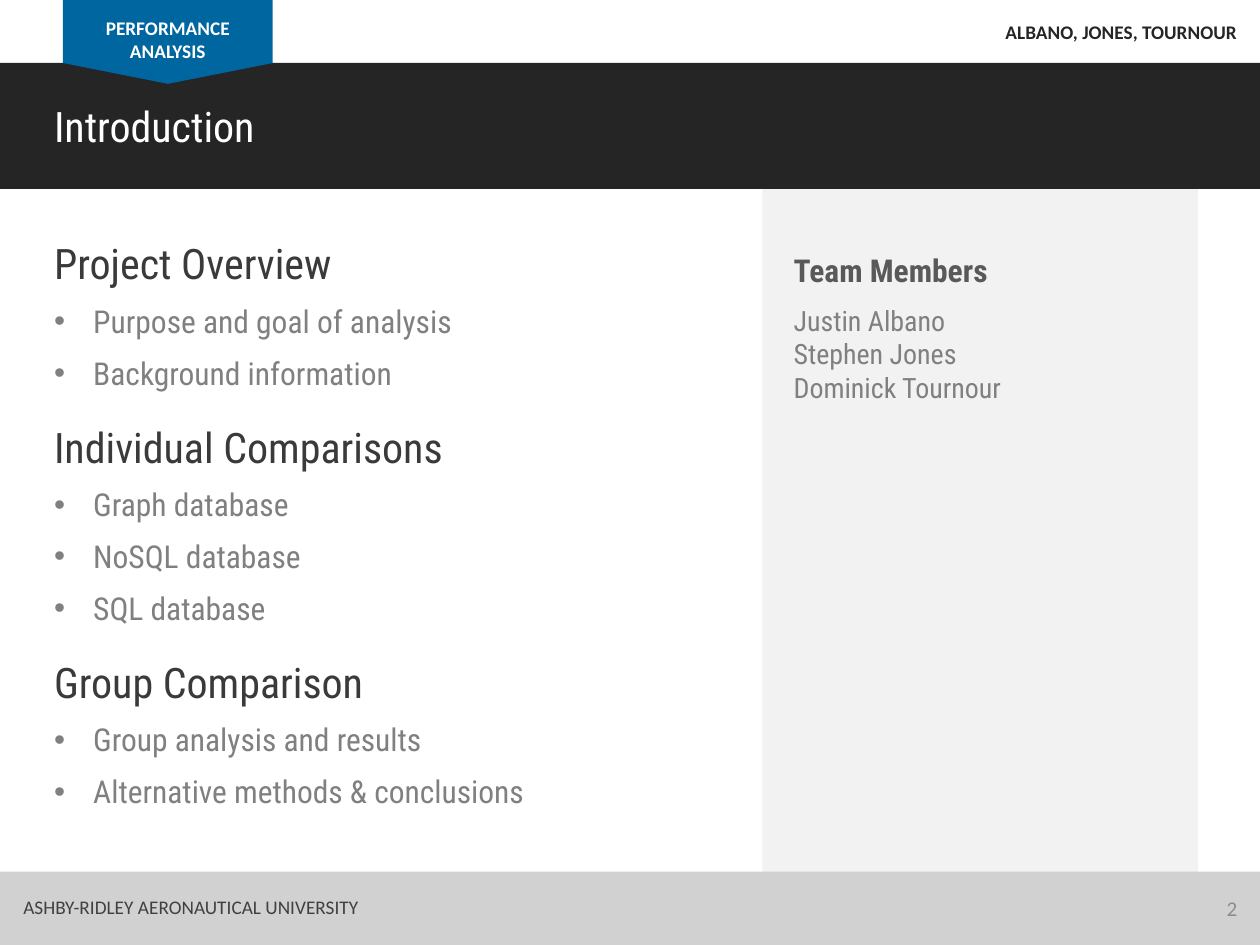
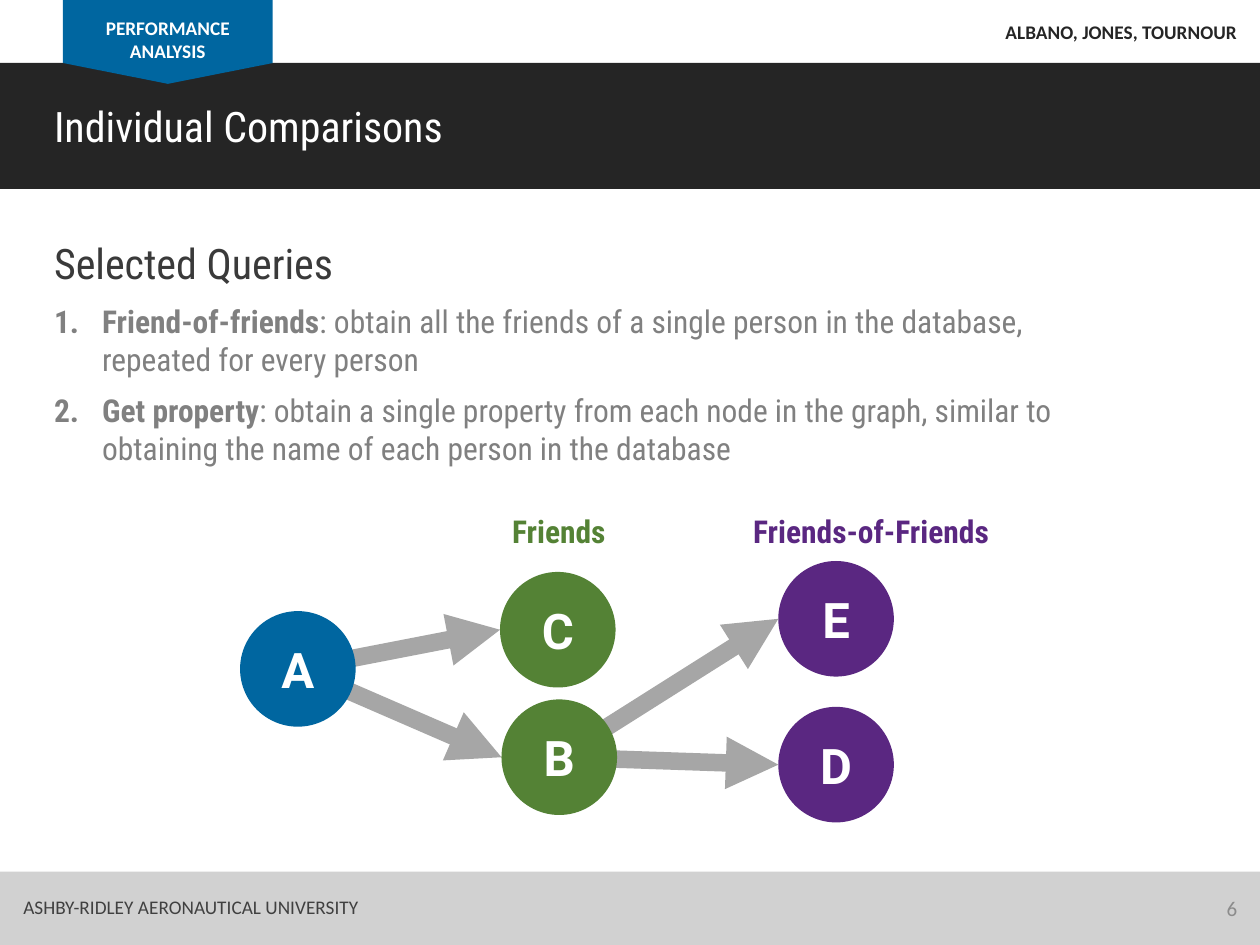
"""Build two slides on comparing databases, sharing one frame."""
from dataclasses import dataclass
from math import hypot
from typing import Any

from lxml.etree import SubElement
from pptx import Presentation
from pptx.dml.color import RGBColor
from pptx.enum.shapes import MSO_CONNECTOR, MSO_SHAPE
from pptx.enum.text import MSO_ANCHOR, MSO_AUTO_SIZE, PP_ALIGN
from pptx.oxml.ns import qn
from pptx.util import Cm, Pt


@dataclass(frozen=True)
class Theme:
    """Colours, fonts and type sizes of the deck."""
    dark: str = "252525"
    blue: str = "0066A0"
    green: str = "548235"
    purple: str = "5A2781"
    white: str = "FFFFFF"
    panel: str = "F2F2F2"
    foot: str = "D1D1D1"
    arrow: str = "A6A6A6"
    head: str = "3A3A3A"
    team: str = "595959"
    body: str = "808080"
    school: str = "404040"
    page: str = "8C8C8C"
    plain: str = "Calibri"
    narrow: str = "Roboto Condensed"
    bold: str = "Roboto"
    tiny: int = 11
    small: int = 12
    name: int = 16
    text: int = 18
    title: int = 24
    node: int = 28


THEME = Theme()


@dataclass(frozen=True)
class Run:
    """A stretch of text in one style."""
    text: str
    color: str = THEME.body
    size: int = THEME.text
    font: str = THEME.narrow
    bold: bool = False


@dataclass(frozen=True)
class Mark:
    """A list marker with its hanging indent in centimetres."""
    tag: str
    key: str
    value: str
    indent: float


@dataclass(frozen=True)
class Box:
    """A text box in centimetres, holding lines of runs."""
    left: float
    top: float
    width: float
    height: float
    lines: tuple[tuple[Run, ...], ...]
    align: PP_ALIGN = PP_ALIGN.LEFT
    mark: Mark | None = None
    after: int = 0
    wrap: bool = True
    grow: bool = True


@dataclass(frozen=True)
class Form:
    """A filled preset shape in centimetres."""
    kind: MSO_SHAPE
    left: float
    top: float
    width: float
    height: float
    color: str
    turn: int = 0


@dataclass(frozen=True)
class Node:
    """A lettered circle of the graph."""
    left: float
    top: float
    color: str


@dataclass(frozen=True)
class Group:
    """A heading with its bullet points."""
    head: str
    points: tuple[str, ...]


WIDE, HIGH = 25.4, 19.05
EDGE, START, DROP = 0.84, 4.67, 1.29
ROW, GAP = 1.04, 0.33
DISC = 2.33
DOT = Mark("a:buChar", "char", "•", 0.79)
COUNT = Mark("a:buAutoNum", "type", "arabicPeriod", 0.97)

FRAME = (
    Form(MSO_SHAPE.RECTANGLE, 0, 1.27, WIDE, 2.54, THEME.dark),
    Form(MSO_SHAPE.RECTANGLE, 1.27, 0, 4.23, 1.27, THEME.blue),
    Form(MSO_SHAPE.ISOSCELES_TRIANGLE, 1.27, 1.27, 4.23, 0.42, THEME.blue, 180),
    Form(MSO_SHAPE.RECTANGLE, 0, 17.57, WIDE, 1.48, THEME.foot),
)
LABELS = (
    Box(1.27, 0.2, 4.23, 1.19, ((Run("PERFORMANCE ANALYSIS", THEME.white,
        THEME.tiny, THEME.plain, True),),), PP_ALIGN.CENTER),
    Box(17.53, 0.28, 7.66, 0.73, ((Run("ALBANO, JONES, TOURNOUR", THEME.dark,
        THEME.tiny, THEME.plain, True),),), PP_ALIGN.RIGHT),
    Box(0.22, 17.93, 7.7, 0.73, ((Run("ASHBY-RIDLEY AERONAUTICAL UNIVERSITY",
        THEME.school, THEME.tiny, THEME.plain),),), wrap=False),
)
GROUPS = (
    Group("Project Overview",
          ("Purpose and goal of analysis", "Background information")),
    Group("Individual Comparisons",
          ("Graph database", "NoSQL database", "SQL database")),
    Group("Group Comparison",
          ("Group analysis and results", "Alternative methods & conclusions")),
)
TEAM = ("Justin Albano", "Stephen Jones", "Dominick Tournour")
QUERIES = (
    ("Friend-of-friends", ": obtain all the friends of a single person in the "
     "database, repeated for every person"),
    ("Get property", ": obtain a single property from each node in the graph, "
     "similar to obtaining the name of each person in the database"),
)
NODES = {
    "A": Node(4.84, 12.32, THEME.blue),
    "B": Node(10.11, 14.1, THEME.green),
    "C": Node(10.08, 11.53, THEME.green),
    "D": Node(15.69, 14.25, THEME.purple),
    "E": Node(15.69, 11.31, THEME.purple),
}
LINKS = ("BE", "AC", "BD", "AB")


def add_run(para: Any, run: Run) -> None:
    """Add one styled run to a paragraph."""
    part = para.add_run()
    part.text = run.text
    part.font.name = run.font
    part.font.size = Pt(run.size)
    part.font.bold = run.bold
    part.font.color.rgb = RGBColor.from_string(run.color)


def add_mark(para: Any, mark: Mark) -> None:
    """Give a paragraph a list marker and a hanging indent."""
    props = para._p.get_or_add_pPr()
    props.set("marL", str(Cm(mark.indent)))
    props.set("indent", str(-Cm(mark.indent)))
    SubElement(props, qn("a:buFont")).set("typeface", "Arial")
    SubElement(props, qn(mark.tag)).set(mark.key, mark.value)


def add_box(slide: Any, box: Box) -> None:
    """Draw a text box."""
    frame = slide.shapes.add_textbox(
        Cm(box.left), Cm(box.top), Cm(box.width), Cm(box.height)).text_frame
    frame.word_wrap = box.wrap
    if box.grow:
        frame.auto_size = MSO_AUTO_SIZE.SHAPE_TO_FIT_TEXT
    else:
        frame.vertical_anchor = MSO_ANCHOR.MIDDLE
    for place, line in enumerate(box.lines):
        para = frame.add_paragraph() if place else frame.paragraphs[0]
        para.alignment = box.align
        para.space_after = Pt(box.after)
        if box.mark:
            add_mark(para, box.mark)
        for run in line:
            add_run(para, run)


def add_form(slide: Any, form: Form) -> Any:
    """Draw a flat shape and return it."""
    shape = slide.shapes.add_shape(form.kind, Cm(form.left), Cm(form.top),
                                   Cm(form.width), Cm(form.height))
    shape.shadow.inherit = False
    shape.fill.solid()
    shape.fill.fore_color.rgb = RGBColor.from_string(form.color)
    shape.line.fill.background()
    shape.rotation = form.turn
    return shape


def add_node(slide: Any, letter: str, node: Node) -> None:
    """Draw a circle with its letter."""
    frame = add_form(slide, Form(MSO_SHAPE.OVAL, node.left, node.top,
                                 DISC, DISC, node.color)).text_frame
    frame.vertical_anchor = MSO_ANCHOR.MIDDLE
    para = frame.paragraphs[0]
    para.alignment = PP_ALIGN.CENTER
    add_run(para, Run(letter, THEME.white, THEME.node, THEME.bold, True))


def add_link(slide: Any, first: Node, last: Node) -> None:
    """Draw an arrow from inside one circle to the left edge of another."""
    mid_x, mid_y = first.left + DISC / 2, first.top + DISC / 2
    end_x, end_y = last.left, last.top + DISC / 2
    part = DISC / 4 / hypot(end_x - mid_x, end_y - mid_y)
    link = slide.shapes.add_connector(
        MSO_CONNECTOR.STRAIGHT, Cm(mid_x + part * (end_x - mid_x)),
        Cm(mid_y + part * (end_y - mid_y)), Cm(end_x), Cm(end_y))
    link.line.width = Pt(10)
    link.line.color.rgb = RGBColor.from_string(THEME.arrow)
    props = link._element.spPr
    SubElement(props.find(qn("a:ln")), qn("a:tailEnd")).set("type", "triangle")
    SubElement(props, qn("a:effectLst"))


def add_head(slide: Any, text: str, top: float, color: str = THEME.head) -> None:
    """Write a large heading at the left margin."""
    add_box(slide, Box(EDGE, top, 12.2, 1.27,
                       ((Run(text, color, THEME.title),),)))


def add_frame(slide: Any, title: str, page: int) -> None:
    """Draw the bands, labels, title and page number."""
    for form in FRAME:
        add_form(slide, form)
    for box in LABELS:
        add_box(slide, box)
    add_head(slide, title, 1.91, THEME.white)
    add_box(slide, Box(19.48, 17.81, 5.71, 1.01, ((Run(
        str(page), THEME.page, THEME.small, THEME.plain),),),
        PP_ALIGN.RIGHT, grow=False))


def add_intro(slide: Any) -> None:
    """Fill the slide that outlines the talk and names the team."""
    add_form(slide, Form(MSO_SHAPE.RECTANGLE, 15.37, 3.81, 8.78, 14.12, THEME.panel))
    add_frame(slide, "Introduction", 2)
    add_box(slide, Box(15.75, 4.93, 8.05, 1.02,
                       ((Run("Team Members", THEME.team, bold=True),),)))
    add_box(slide, Box(15.75, 5.99, 8.05, 2.31, tuple(
        (Run(name, size=THEME.name),) for name in TEAM)))
    top = START
    for group in GROUPS:
        add_head(slide, group.head, top)
        tall = ROW * len(group.points)
        add_box(slide, Box(EDGE, top + DROP, 15.49, tall, tuple(
            (Run(point),) for point in group.points), mark=DOT, after=8))
        top += DROP + tall + GAP


def add_graph(slide: Any) -> None:
    """Fill the slide that explains the queries with a graph."""
    add_frame(slide, "Individual Comparisons", 6)
    add_head(slide, "Selected Queries", START)
    add_box(slide, Box(EDGE, START + DROP, 22.17, 3.61, tuple(
        (Run(name, bold=True), Run(rest)) for name, rest in QUERIES),
        mark=COUNT, after=8))
    for first, last in LINKS:
        add_link(slide, NODES[first], NODES[last])
    for letter, node in NODES.items():
        add_node(slide, letter, node)
    for text, left, width, color in (
            ("Friends", 9.27, 3.99, THEME.green),
            ("Friends-of-Friends", 14.22, 6.68, THEME.purple)):
        add_box(slide, Box(left, 10.19, width, 1.02, (
            (Run(text, color, bold=True),),), PP_ALIGN.CENTER, after=8))


def main() -> None:
    """Build and save the deck."""
    deck = Presentation()
    deck.slide_width, deck.slide_height = Cm(WIDE), Cm(HIGH)
    for fill in (add_intro, add_graph):
        fill(deck.slides.add_slide(deck.slide_layouts[6]))
    deck.save("out.pptx")


if __name__ == "__main__":
    main()
